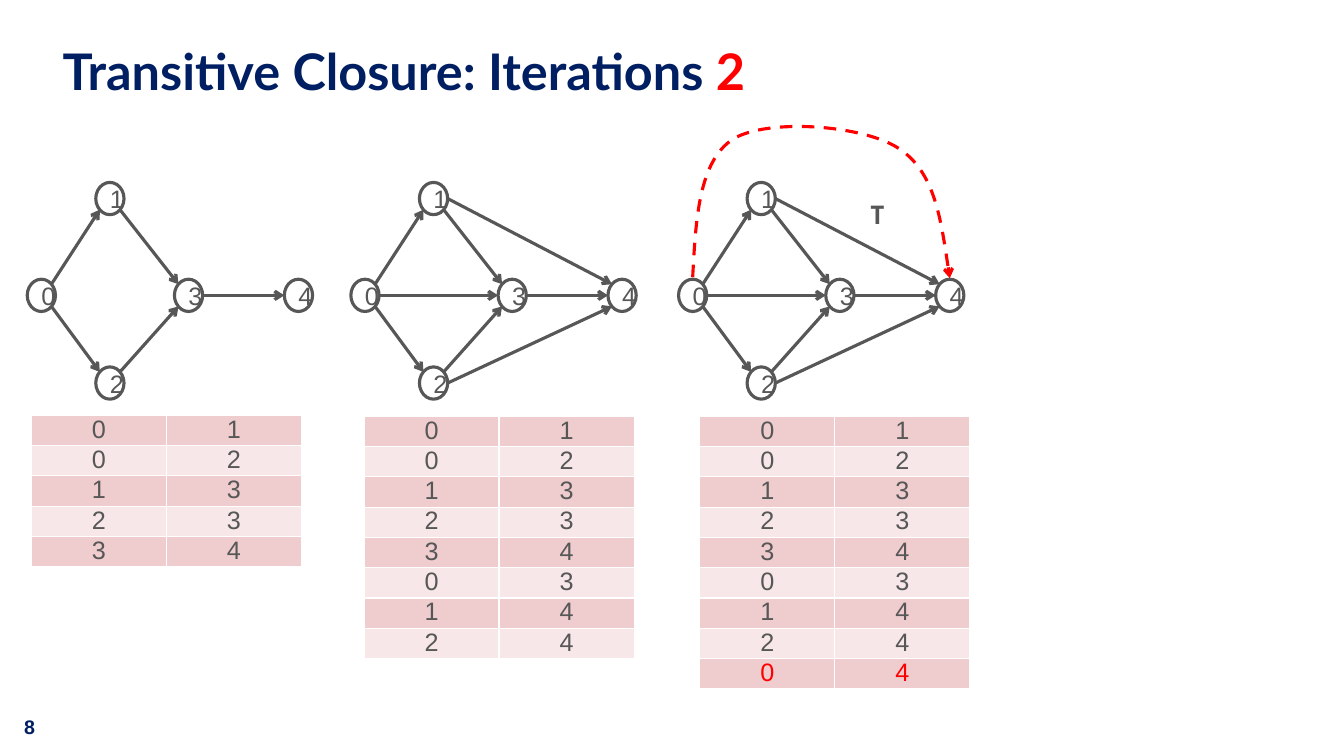
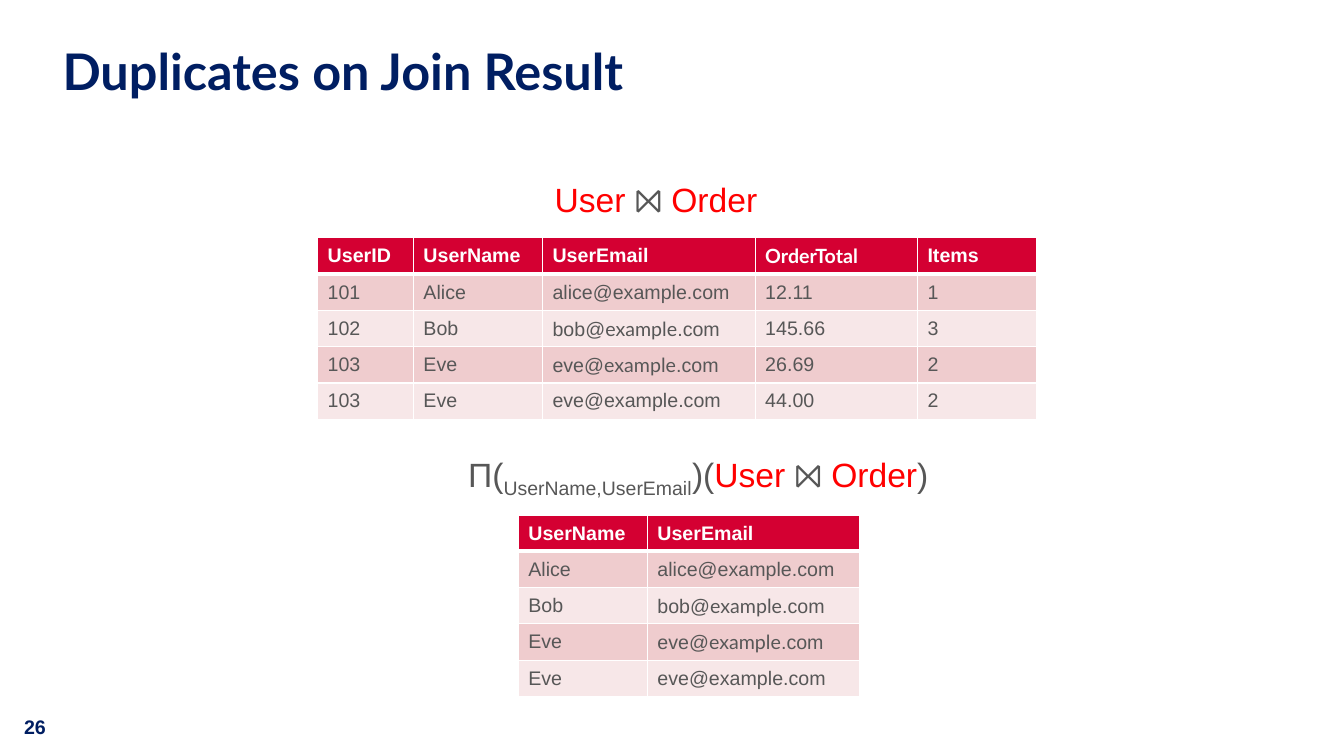
from dataclasses import dataclass
from typing import Any, Optional, Sequence

import lxml.etree
import pptx
import pptx.dml.color
import pptx.enum.dml
import pptx.enum.shapes
import pptx.enum.text
import pptx.oxml.ns
import pptx.util

PX = 9144  # EMU in one px, 100 px to the inch
HUES = {
    "navy": "001E62", "gray": "575757", "red": "FF0000", "white": "FFFFFF",
    "head": "D40032", "odd": "EFCCCE", "even": "F7E7E8",
}
ALIGN = pptx.enum.text.PP_ALIGN
ANCHOR = pptx.enum.text.MSO_ANCHOR
FIT = pptx.enum.text.MSO_AUTO_SIZE
qn = pptx.oxml.ns.qn


@dataclass(frozen=True)
class Edge:
    start: int
    leave: str
    end: int
    enter: str


@dataclass(frozen=True)
class Graph:
    left: int
    count: int  # how many edges are known so far
    grid: tuple[int, int]  # left and top of the edge table
    fresh: Optional[tuple[int, int]] = None  # newly found pair


# Graph nodes, relative to the left of the graph
WIDE, HIGH = 28, 32
NODES = [(0, 277), (68, 181), (68, 364), (146, 277), (255, 277)]
SITES = {"w": (-14, 0), "e": (14, 0), "nw": (-10, -11), "ne": (10, -11),
         "sw": (-10, 11), "se": (10, 11)}
EDGES = [
    Edge(0, "ne", 1, "sw"), Edge(0, "se", 2, "nw"), Edge(1, "se", 3, "nw"),
    Edge(2, "ne", 3, "sw"), Edge(3, "e", 4, "w"), Edge(0, "e", 3, "w"),
    Edge(1, "e", 4, "nw"), Edge(2, "e", 4, "sw"),
]
GRAPHS = [Graph(27, 5, (31, 412)), Graph(348, 8, (361, 413)),
          Graph(673, 8, (694, 413), (0, 4))]
# Start, then two controls and an end for each curve
ARC = [(687, 275), (690, 218), (693, 160), (727, 138), (761, 117),
       (856, 124), (891, 147), (927, 170), (934, 223), (942, 276)]

# Join result; text between bars is set in Lato
JOIN = [
    ["UserID", "UserName", "UserEmail", "|OrderTotal|", "Items"],
    ["101", "Alice", "alice@example.com", "12.11", "1"],
    ["102", "Bob", "bob@|example|.com", "145.66", "3"],
    ["103", "Eve", "eve@|example|.com", "26.69", "2"],
    ["103", "Eve", "eve@example.com", "44.00", "2"],
]
COLS = [95, 128, 211, 161, 118]


def px(*nums: int) -> list[int]:
    return [num * PX for num in nums]


def rgb(hue: str) -> pptx.dml.color.RGBColor:
    return pptx.dml.color.RGBColor.from_string(HUES[hue])


def say(para: Any, words: str, *, size: int = 18, font: str = "Arial",
        hue: str = "gray", bold: bool = False, base: int = 0) -> None:
    """Add one formatted run to a paragraph."""
    run = para.add_run()
    run.text = words
    run.font.size = pptx.util.Pt(size)
    run.font.name = font
    run.font.bold = bold
    run.font.color.rgb = rgb(hue)
    if base:
        run.font._element.set("baseline", str(base * 1000))


def box(shapes: Any, left: int, top: int, wide: int, high: int,
        wrap: bool = True) -> Any:
    """Add a text box and return its first paragraph."""
    frame = shapes.add_textbox(*px(left, top, wide, high)).text_frame
    frame.word_wrap = wrap
    frame.auto_size = FIT.SHAPE_TO_FIT_TEXT
    return frame.paragraphs[0]


def page(deck: Any, num: int, title: str, mark: str = "") -> Any:
    """Add a slide with title, optional red mark and page number."""
    slide = deck.slides.add_slide(deck.slide_layouts[5])
    head = slide.shapes.title
    head.left, head.top, head.width, head.height = px(62, 47, 1208, 89)
    frame = head.text_frame
    frame.margin_left = frame.margin_right = 0
    frame.margin_top = frame.margin_bottom = 0
    frame.vertical_anchor = ANCHOR.TOP
    frame.auto_size = FIT.NONE
    frame.word_wrap = True
    para = frame.paragraphs[0]
    para.alignment = ALIGN.LEFT
    para.line_spacing = 0.9
    say(para, title, size=36, font="Lato", hue="navy", bold=True)
    if mark:
        say(para, mark, size=36, font="Lato", hue="red", bold=True)
    foot = box(slide.shapes, 14, 704, 66, 34)
    say(foot, str(num), size=14, hue="navy", bold=True)
    return slide


def ink(shape: Any, hue: str = "gray", arrow: bool = False,
        dash: bool = False) -> None:
    """Set an outline, with an arrowhead at its end if asked."""
    shape.line.color.rgb = rgb(hue)
    shape.line.width = pptx.util.Pt(2.25)
    if dash:
        shape.line.dash_style = pptx.enum.dml.MSO_LINE.DASH
    if arrow:
        line = shape.line._get_or_add_ln()
        lxml.etree.SubElement(line, qn("a:tailEnd"), type="arrow")


def rim(cell: Any, low: int, top: int) -> None:
    """Give a cell white borders; low and top are widths in points."""
    props = cell._tc.get_or_add_tcPr()
    sides = {"a:lnL": 1, "a:lnR": 1, "a:lnT": top, "a:lnB": low}
    for spot, (tag, width) in enumerate(sides.items()):
        line = lxml.etree.Element(qn(tag), w=str(pptx.util.Pt(width)))
        fill = lxml.etree.SubElement(line, qn("a:solidFill"))
        lxml.etree.SubElement(fill, qn("a:srgbClr"), val=HUES["white"])
        props.insert(spot, line)


def grid(shapes: Any, left: int, top: int, cols: Sequence[int], high: int,
         rows: Sequence[Sequence[str]], *, head: bool = False,
         tight: bool = False, size: int = 14, last: str = "gray") -> None:
    """Add a banded table; last is the text colour of the last row."""
    table = shapes.add_table(len(rows), len(cols), *px(
        left, top, sum(cols), high * len(rows))).table
    table.first_row = head
    table.horz_banding = False
    for col, wide in zip(table.columns, cols):
        col.width = wide * PX
    for r, row in enumerate(rows):
        table.rows[r].height = high * PX
        crown = head and r == 0
        band = "head" if crown else "odd" if (r - head) % 2 == 0 else "even"
        hue = "white" if crown else last if r == len(rows) - 1 else "gray"
        for c, words in enumerate(row):
            cell = table.cell(r, c)
            cell.fill.solid()
            cell.fill.fore_color.rgb = rgb(band)
            rim(cell, 3 if crown else 1, 3 if head and r == 1 else 1)
            para = cell.text_frame.paragraphs[0]
            if tight:
                cell.margin_top = cell.margin_bottom = 0
                para.alignment = ALIGN.CENTER
            else:
                cell.vertical_anchor = ANCHOR.MIDDLE
            for n, part in enumerate(words.split("|")):
                if part:
                    say(para, part, size=size, hue=hue, bold=crown,
                        font="Lato" if n % 2 else "Arial")


def site(graph: Graph, node: int, side: str) -> list[int]:
    """Find a point on the rim of a node."""
    left, top = NODES[node]
    dx, dy = SITES[side]
    return px(graph.left + left + WIDE // 2 + dx, top + HIGH // 2 + dy)


def arc(shapes: Any) -> None:
    """Draw the dashed curve over the last graph."""
    first, *rest = [tuple(px(*spot)) for spot in ARC]
    pen = shapes.build_freeform(*first)
    pen.add_line_segments(rest, close=False)
    curve = pen.convert_to_shape()
    # Turn each three points into one cubic curve
    steps = list(curve._element.iter(qn("a:lnTo")))
    trace = steps[0].getparent()
    for n in range(0, len(steps), 3):
        bend = lxml.etree.SubElement(trace, qn("a:cubicBezTo"))
        for step in steps[n:n + 3]:
            bend.append(step[0])
            trace.remove(step)
    curve.shadow.inherit = False
    curve.fill.background()
    ink(curve, "red", arrow=True, dash=True)


def draw(slide: Any, graph: Graph) -> None:
    """Draw a graph and the table of its edges."""
    shapes = slide.shapes.add_group_shape().shapes
    for n, (left, top) in enumerate(NODES):
        node = shapes.add_shape(pptx.enum.shapes.MSO_SHAPE.OVAL,
                                *px(graph.left + left, top, WIDE, HIGH))
        node.shadow.inherit = False
        node.fill.background()
        ink(node)
        para = node.text_frame.paragraphs[0]
        para.alignment = ALIGN.CENTER
        say(para, str(n))
    edges = EDGES[:graph.count]
    for edge in edges:
        link = shapes.add_connector(
            pptx.enum.shapes.MSO_CONNECTOR.STRAIGHT,
            *site(graph, edge.start, edge.leave),
            *site(graph, edge.end, edge.enter))
        ink(link, arrow=True)
        lxml.etree.SubElement(link._element.spPr, qn("a:effectLst"))
    pairs = [(edge.start, edge.end) for edge in edges]
    if graph.fresh:
        pairs.append(graph.fresh)
        arc(shapes)
        say(box(shapes, 853, 193, 35, 40, wrap=False), "T",
            font="DejaVu Sans Mono", bold=True)
    grid(slide.shapes, *graph.grid, [134, 134], 30,
         [[str(num) for num in pair] for pair in pairs],
         tight=True, size=18, last="red" if graph.fresh else "gray")


def join(para: Any) -> None:
    """Write the join of the two relations."""
    for words, hue in (("User ", "red"), ("⨝ ", "gray"), ("Order", "red")):
        say(para, words, size=24, hue=hue)


def main() -> None:
    deck = pptx.Presentation()
    deck.slide_width, deck.slide_height = px(1333, 750)

    # Transitive closure
    slide = page(deck, 8, "Transitive Closure: Iterations ", "2")
    for graph in GRAPHS:
        draw(slide, graph)

    # Join and its projection on name and e-mail
    shapes = page(deck, 26, "Duplicates on Join Result").shapes
    grid(shapes, 315, 236, COLS, 36, JOIN, head=True)
    grid(shapes, 514, 511, COLS[1:3], 36, [row[1:3] for row in JOIN],
         head=True)
    para = box(shapes, 323, 173, 655, 50)
    para.alignment = ALIGN.CENTER
    join(para)
    para = box(shapes, 365, 445, 655, 50)
    para.alignment = ALIGN.CENTER
    say(para, "Π(", size=24)
    say(para, "UserName,UserEmail", size=24, base=-25)
    say(para, ")(", size=24)
    join(para)
    say(para, ")", size=24)

    deck.save("out.pptx")


if __name__ == "__main__":
    main()
